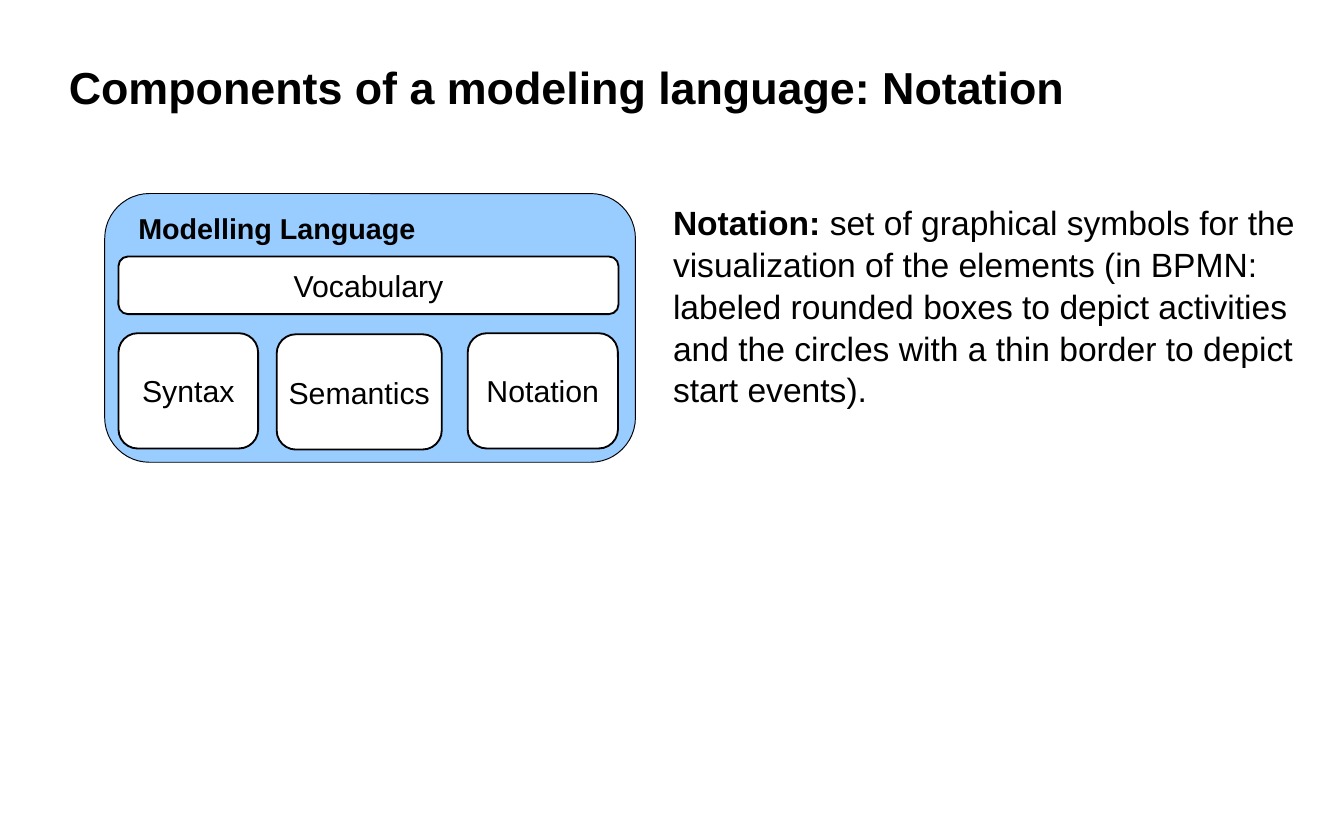
import dataclasses

import pptx
import pptx.dml.color
import pptx.enum.shapes
import pptx.enum.text
import pptx.util

Cm = pptx.util.Cm
Pt = pptx.util.Pt
RGB = pptx.dml.color.RGBColor.from_string
ALIGN = pptx.enum.text.PP_ALIGN
ANCHOR = pptx.enum.text.MSO_ANCHOR
FIT = pptx.enum.text.MSO_AUTO_SIZE


@dataclasses.dataclass(frozen=True)
class Theme:
    """Colours and type sizes of the slide."""
    font: str = "Arial"
    ink: str = "000000"
    panel: str = "99CCFF"
    paper: str = "FFFFFF"
    title: float = 24
    body: float = 18
    label: float = 16.2
    heading: float = 15.4


def write(tf, theme, runs, size, align=ALIGN.LEFT, anchor=ANCHOR.TOP,
          wrap=True, fit=FIT.NONE, spacing=None):
    """Fill a text frame with one paragraph of (text, bold) runs."""
    tf.auto_size = fit
    tf.word_wrap = wrap
    tf.vertical_anchor = anchor
    p = tf.paragraphs[0]
    p.alignment = align
    p.line_spacing = spacing
    for text, bold in runs:
        r = p.add_run()
        r.text = text
        r.font.name = theme.font
        r.font.size = Pt(size)
        r.font.bold = bold
        r.font.color.rgb = RGB(theme.ink)


class SlideBuilder:
    """Adds styled elements to the current slide."""

    def __init__(self, s, theme):
        self.s = s
        self.theme = theme

    def title(self, text, left, top, width, height):
        """Place and format the title placeholder."""
        sp = self.s.shapes.title
        sp.left, sp.top, sp.width, sp.height = map(Cm, (left, top, width, height))
        tf = sp.text_frame
        tf.margin_left = tf.margin_right = tf.margin_top = tf.margin_bottom = 0
        write(tf, self.theme, [(text, True)], self.theme.title, anchor=ANCHOR.MIDDLE)

    def box(self, left, top, width, height, fill, line, label=None):
        """Add a rounded box with an optional centred label."""
        sp = self.s.shapes.add_shape(
            pptx.enum.shapes.MSO_SHAPE.ROUNDED_RECTANGLE,
            *map(Cm, (left, top, width, height)))
        sp.shadow.inherit = False
        sp.fill.solid()
        sp.fill.fore_color.rgb = RGB(fill)
        sp.line.color.rgb = RGB(self.theme.ink)
        sp.line.width = Pt(line)
        if label:
            write(sp.text_frame, self.theme, [(label, False)], self.theme.label,
                  align=ALIGN.CENTER, anchor=ANCHOR.MIDDLE, wrap=False)

    def text(self, left, top, width, height, runs, size, **style):
        """Add a text box that grows with its text."""
        sp = self.s.shapes.add_textbox(*map(Cm, (left, top, width, height)))
        write(sp.text_frame, self.theme, runs, size,
              fit=FIT.SHAPE_TO_FIT_TEXT, **style)


def main():
    """Build and save the slide."""
    prs = pptx.Presentation()
    prs.slide_width, prs.slide_height = Cm(25.4), Cm(15.88)
    theme = Theme()
    slide = SlideBuilder(prs.slides.add_slide(prs.slide_layouts[5]), theme)

    slide.title("Components of a modeling language: Notation", 1.3, 0.38, 19, 2.51)
    slide.box(1.98, 3.66, 10.03, 5.08, theme.panel, 0.5)
    slide.text(2.34, 3.86, 5.79, 0.91, [("Modelling Language", True)],
               theme.heading, align=ALIGN.CENTER, wrap=False)
    for label, left, top, width, height in (
            ("Vocabulary", 2.24, 4.85, 9.45, 1.09),
            ("Syntax", 2.24, 6.3, 2.64, 2.18),
            ("Semantics", 5.23, 6.32, 3.12, 2.18),
            ("Notation", 8.84, 6.3, 2.84, 2.18)):
        slide.box(left, top, width, height, theme.paper, 1, label)
    slide.text(12.47, 3.66, 12.7, 4.11, [
        ("Notation: ", True),
        ("set of graphical symbols for the visualization of the elements "
         "(in BPMN: labeled rounded boxes to depict activities and the circles "
         "with a thin border to depict start events).", False),
    ], theme.body, spacing=1.04)
    prs.save("out.pptx")


if __name__ == "__main__":
    main()
